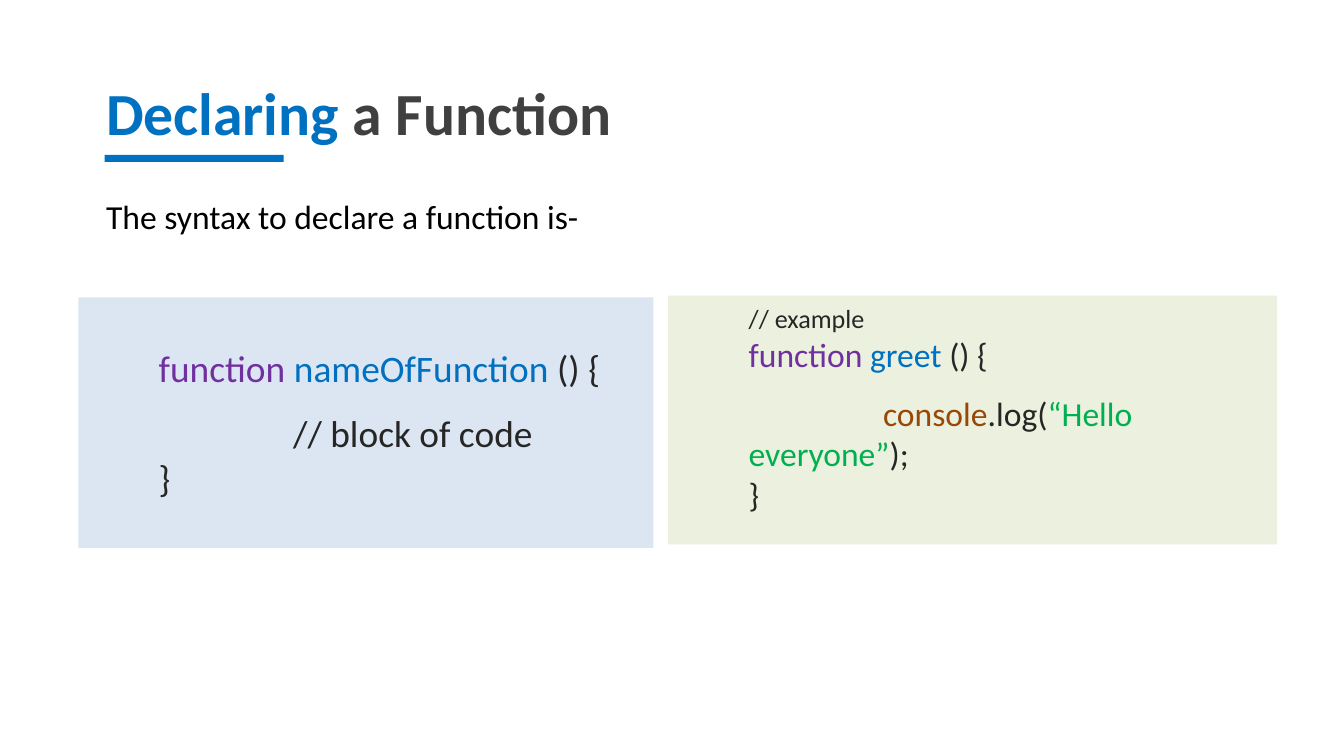
from lxml import etree
from pptx import Presentation
from pptx.dml.color import RGBColor
from pptx.enum.shapes import MSO_SHAPE
from pptx.enum.text import MSO_ANCHOR, MSO_AUTO_SIZE, PP_ALIGN
from pptx.oxml.ns import qn
from pptx.util import Cm, Pt

RECT = MSO_SHAPE.RECTANGLE
TOP = MSO_ANCHOR.TOP
NO_FIT = MSO_AUTO_SIZE.NONE
LEFT = PP_ALIGN.LEFT

FONT = "Calibri"
BLUE, PURPLE, BROWN, GREEN = "0070C0", "7030A0", "984807", "00B050"
BLACK, GREY, INK = "000000", "404040", "262626"
CODE_MARGIN = 1.27
BLOCK_INDENT = 2.54


def color(hex_code):
    return RGBColor.from_string(hex_code)


def add_runs(p, runs, size, bold=False):
    """Add (text, colour) pairs to a paragraph."""
    for text, hex_code in runs:
        r = p.add_run()
        r.text = text
        r.font.name = FONT
        r.font.size = Pt(size)
        r.font.bold = bold
        r.font.color.rgb = color(hex_code)


def set_indent(p, margin, first_line):
    pPr = p._p.get_or_add_pPr()
    pPr.set("marL", str(Cm(margin)))
    pPr.set("indent", str(Cm(first_line)))


def fill_placeholder(sp, box, runs, size, bold=False):
    sp.left, sp.top, sp.width, sp.height = map(Cm, box)
    tf = sp.text_frame
    tf.word_wrap = True
    tf.auto_size = NO_FIT
    tf.vertical_anchor = TOP
    p = tf.paragraphs[0]
    p.alignment = LEFT
    p.space_before = Pt(0)
    set_indent(p, 0, 0)
    etree.SubElement(p._p.get_or_add_pPr(), qn("a:buNone"))
    add_runs(p, runs, size, bold)


def add_bar(s, box, fill):
    sp = s.shapes.add_shape(RECT, *map(Cm, box))
    sp.shadow.inherit = False
    sp.fill.solid()
    sp.fill.fore_color.rgb = color(fill)
    sp.line.fill.background()
    return sp


def add_code_panel(s, box, fill, inset_top, lines):
    """Each line is (size, space before, first-line indent, runs)."""
    tf = add_bar(s, box, fill).text_frame
    tf.word_wrap = True
    tf.vertical_anchor = TOP
    tf.margin_top = Cm(inset_top)
    for i, (size, before, first_line, runs) in enumerate(lines):
        p = tf.add_paragraph() if i else tf.paragraphs[0]
        p.alignment = LEFT
        p.space_before = Pt(before)
        set_indent(p, CODE_MARGIN, first_line)
        add_runs(p, runs, size)


def main():
    prs = Presentation()
    prs.slide_width, prs.slide_height = Cm(25.4), Cm(14.29)
    s = prs.slides.add_slide(prs.slide_layouts[1])

    fill_placeholder(s.shapes.title, (1.75, 1.3, 21.16, 1.62),
                     [("Declaring", BLUE), (" a Function", GREY)], 32, True)
    fill_placeholder(s.placeholders[1], (1.75, 3.58, 21.74, 1.03),
                     [("The syntax to declare a function is-", BLACK)], 18)

    add_code_panel(s, (1.48, 5.62, 10.87, 4.74), "DCE6F2", 0.9, [
        (20, 0, 0, [("function ", PURPLE), ("nameOfFunction ", BLUE),
                    ("() {", INK)]),
        (20, 11, BLOCK_INDENT, [("// block of code", INK)]),
        (20, 0, 0, [("}", INK)]),
    ])
    add_code_panel(s, (12.63, 5.59, 11.51, 4.7), "EBF1DE", 0.13, [
        (14, 0, 0, [("// example", INK)]),
        (18, 0, 0, [("function ", PURPLE), ("greet ", BLUE), ("() {", INK)]),
        (18, 10, BLOCK_INDENT, [("console", BROWN), (".log(", INK),
                                ("“Hello everyone”", GREEN), (");", INK)]),
        (18, 0, 0, [("}", INK)]),
    ])
    add_bar(s, (1.98, 2.93, 3.38, 0.13), BLUE)

    prs.save("out.pptx")


if __name__ == "__main__":
    main()
